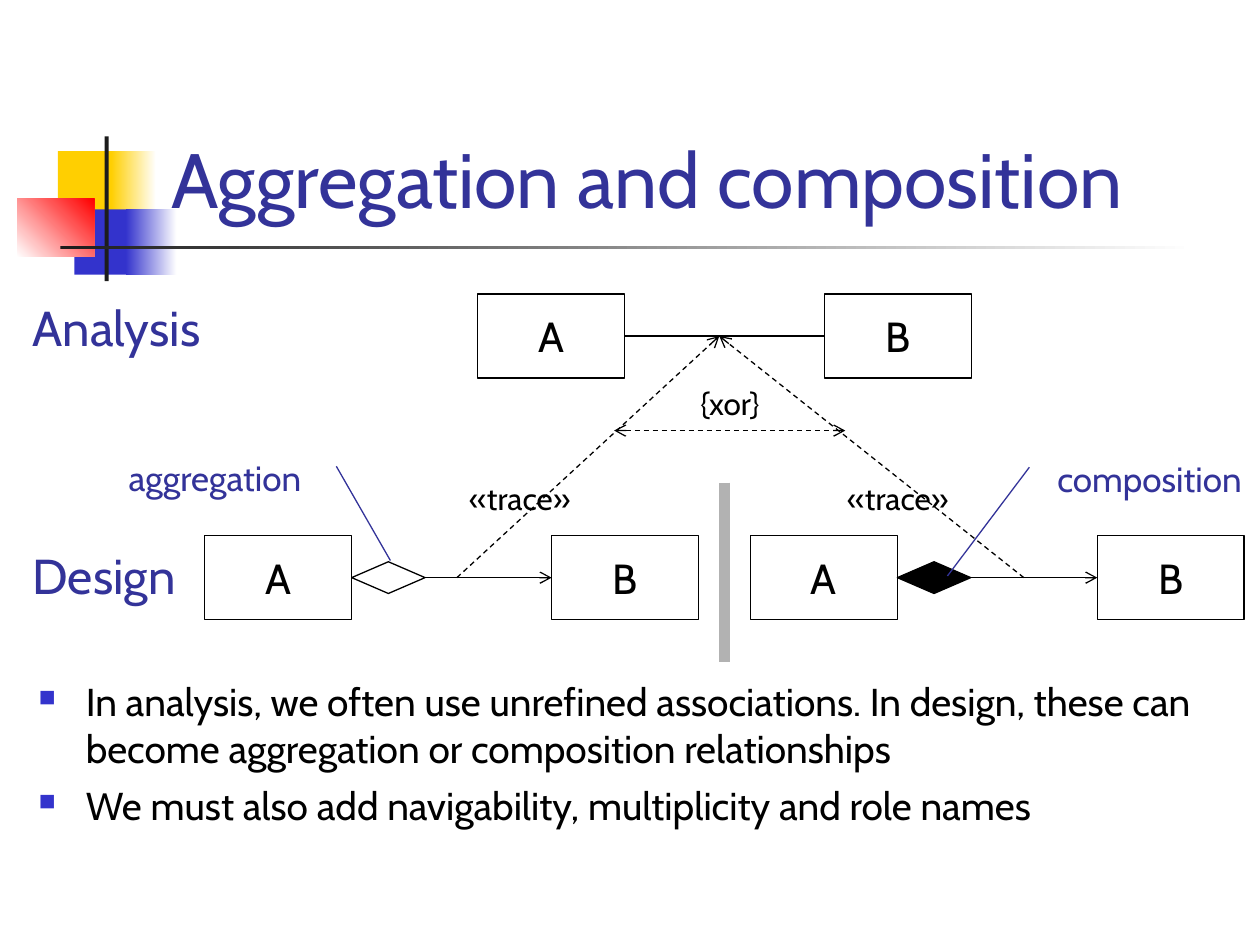
from lxml.etree import SubElement
from pptx import Presentation
from pptx.dml.color import RGBColor
from pptx.enum.dml import MSO_LINE
from pptx.enum.shapes import MSO_CONNECTOR, MSO_SHAPE
from pptx.enum.text import MSO_ANCHOR as Anchor, PP_ALIGN as Align
from pptx.oxml.ns import qn
from pptx.util import Cm, Pt

FONT = "Cabin"
BLACK, WHITE, DARK = "000000", "FFFFFF", "1C1C1C"
YELLOW, BLUE, RED, NAVY, GREY = "FFCF01", "3333CC", "FF0000", "333399", "B2B2B2"

BOX_WIDTH, BOX_HEIGHT, BOX_STEP = 2.96, 1.69, 6.99
DIAMOND_WIDTH, DIAMOND_HEIGHT = 1.48, 0.64
ANALYSIS_TOP, DESIGN_TOP = 5.93, 10.8
ANALYSIS_MIDDLE = ANALYSIS_TOP + BOX_HEIGHT / 2
DESIGN_MIDDLE = DESIGN_TOP + BOX_HEIGHT / 2
LEFT, RIGHT = 1, 3


def color(hex_text):
    return RGBColor.from_string(hex_text)


class SlideBuilder:
    """Draws styled elements on one slide; all lengths are in centimetres."""

    def __init__(self, slide):
        self.shapes = slide.shapes

    def add_run(self, paragraph, text, size, text_color):
        run = paragraph.add_run()
        run.text = text
        run.font.name = FONT
        run.font.size = Pt(size)
        run.font.color.rgb = color(text_color)

    def shape(self, kind, left, top, width, height, fill, outline=None):
        shape = self.shapes.add_shape(kind, Cm(left), Cm(top), Cm(width), Cm(height))
        shape.shadow.inherit = False
        if isinstance(fill, str):
            shape.fill.solid()
            shape.fill.fore_color.rgb = color(fill)
        else:
            start, end, angle = fill
            shape.fill.gradient()
            shape.fill.gradient_angle = angle
            for stop, stop_color in zip(shape.fill.gradient_stops, (start, end)):
                stop.color.rgb = color(stop_color)
        if outline:
            shape.line.color.rgb = color(outline)
            shape.line.width = Pt(0.75)
        else:
            shape.line.fill.background()
        return shape

    def block(self, left, top, width, height, fill):
        return self.shape(MSO_SHAPE.RECTANGLE, left, top, width, height, fill)

    def class_box(self, name, left, top):
        box = self.shape(MSO_SHAPE.RECTANGLE, left, top, BOX_WIDTH, BOX_HEIGHT, WHITE, BLACK)
        box.text_frame.vertical_anchor = Anchor.MIDDLE
        paragraph = box.text_frame.paragraphs[0]
        paragraph.alignment = Align.CENTER
        self.add_run(paragraph, name, 24, BLACK)
        return box

    def class_pair(self, left, top, diamond_fill=None):
        """Joins boxes A and B, with a diamond and an arrow if a fill is given."""
        first = self.class_box("A", left, top)
        second = self.class_box("B", left + BOX_STEP, top)
        middle = top + BOX_HEIGHT / 2
        start = left + BOX_WIDTH
        source = first
        if diamond_fill:
            source = self.shape(MSO_SHAPE.DIAMOND, start, middle - DIAMOND_HEIGHT / 2,
                                DIAMOND_WIDTH, DIAMOND_HEIGHT, diamond_fill, BLACK)
            start += DIAMOND_WIDTH
        line = self.line((start, middle), (left + BOX_STEP, middle),
                         tail=bool(diamond_fill))
        line.begin_connect(source, RIGHT)
        line.end_connect(second, LEFT)

    def line(self, start, end, line_color=BLACK, width=0.75,
             dashed=False, head=False, tail=False):
        line = self.shapes.add_connector(
            MSO_CONNECTOR.STRAIGHT, *(Cm(value) for value in (*start, *end)))
        line.line.color.rgb = color(line_color)
        line.line.width = Pt(width)
        if dashed:
            line.line.dash_style = MSO_LINE.DASH
        properties = line.element.spPr
        outline = properties.find(qn("a:ln"))
        for tag, wanted in (("a:headEnd", head), ("a:tailEnd", tail)):
            if wanted:
                SubElement(outline, qn(tag), type="arrow", w="med", len="med")
        SubElement(properties, qn("a:effectLst"))
        return line

    def text(self, text, left, top, width, height, size, text_color=BLACK,
             align=Align.LEFT, anchor=Anchor.TOP):
        frame = self.text_frame(left, top, width, height)
        frame.vertical_anchor = anchor
        paragraph = frame.paragraphs[0]
        paragraph.alignment = align
        self.add_run(paragraph, text, size, text_color)

    def text_frame(self, left, top, width, height):
        box = self.shapes.add_textbox(Cm(left), Cm(top), Cm(width), Cm(height))
        box.text_frame.word_wrap = True
        return box.text_frame

    def bullets(self, items, left, top, width, height, size):
        frame = self.text_frame(left, top, width, height)
        for index, item in enumerate(items):
            paragraph = frame.add_paragraph() if index else frame.paragraphs[0]
            properties = paragraph._p.get_or_add_pPr()
            properties.set("marL", str(Cm(0.95)))
            properties.set("indent", str(-Cm(0.95)))
            bullet_color = SubElement(properties, qn("a:buClr"))
            SubElement(bullet_color, qn("a:srgbClr"), val=BLUE)
            SubElement(properties, qn("a:buSzPct"), val="60000")
            SubElement(properties, qn("a:buChar"), char="■")
            if index:
                paragraph.space_before = Pt(6)
            self.add_run(paragraph, item, size, BLACK)

    def callout(self, text, left, top, start, end):
        self.text(text, left, top, 4.45, 1.7, 20, NAVY, Align.CENTER)
        self.line(start, end, NAVY)


def draw_title(builder):
    builder.block(1.17, 3.05, 1.22, 1.32, YELLOW)
    builder.block(2.24, 3.05, 0.91, 1.32, (YELLOW, WHITE, 0))
    builder.block(1.5, 4.22, 1.17, 1.32, BLUE)
    builder.block(2.54, 4.22, 1.02, 1.32, (BLUE, WHITE, 0))
    builder.block(0.35, 4.01, 1.55, 1.17, (WHITE, RED, 45))
    builder.block(2.11, 2.75, 0.08, 2.92, DARK)
    builder.block(1.22, 4.95, 22.86, 0.08, (DARK, WHITE, 0))
    builder.text("Aggregation and composition", 3.2, 0.58, 21.64, 4.06, 44, NAVY,
                 anchor=Anchor.BOTTOM)


def draw_diagram(builder):
    builder.class_pair(9.63, ANALYSIS_TOP)
    builder.class_pair(4.13, DESIGN_TOP, WHITE)
    builder.class_pair(15.13, DESIGN_TOP, BLACK)

    for trace_start, label_left in ((9.21, 9.21), (20.64, 16.83)):
        builder.line((trace_start, DESIGN_MIDDLE), (14.5, ANALYSIS_MIDDLE),
                     dashed=True, tail=True)
        builder.text("«trace»", label_left, 9.53, 2.67, 1.02, 18)
    builder.line((12.38, 8.68), (17.04, 8.68), dashed=True, head=True, tail=True)
    builder.text("{xor}", 13.87, 7.62, 1.96, 1.02, 18)

    builder.text("Analysis", 0.41, 5.87, 4.24, 1.45, 28, NAVY)
    builder.text("Design", 0.41, 10.87, 3.73, 1.45, 28, NAVY)
    builder.callout("aggregation", 2.11, 9.07, (7.87, 11.3), (6.78, 9.4))
    builder.callout("composition", 20.95, 9.09, (19.1, 11.61), (20.75, 9.42))
    builder.line((14.61, 9.73), (14.61, 13.34), GREY, 6)


def main():
    presentation = Presentation()
    presentation.slide_width, presentation.slide_height = Cm(25.4), Cm(19.05)
    builder = SlideBuilder(presentation.slides.add_slide(presentation.slide_layouts[6]))
    draw_title(builder)
    builder.bullets(
        ["In analysis, we often use unrefined associations. In design, these can "
         "become aggregation or composition relationships",
         "We must also add navigability, multiplicity and role names"],
        0.53, 13.54, 24.23, 3.81, 22.2)
    draw_diagram(builder)
    presentation.save("out.pptx")


if __name__ == "__main__":
    main()
